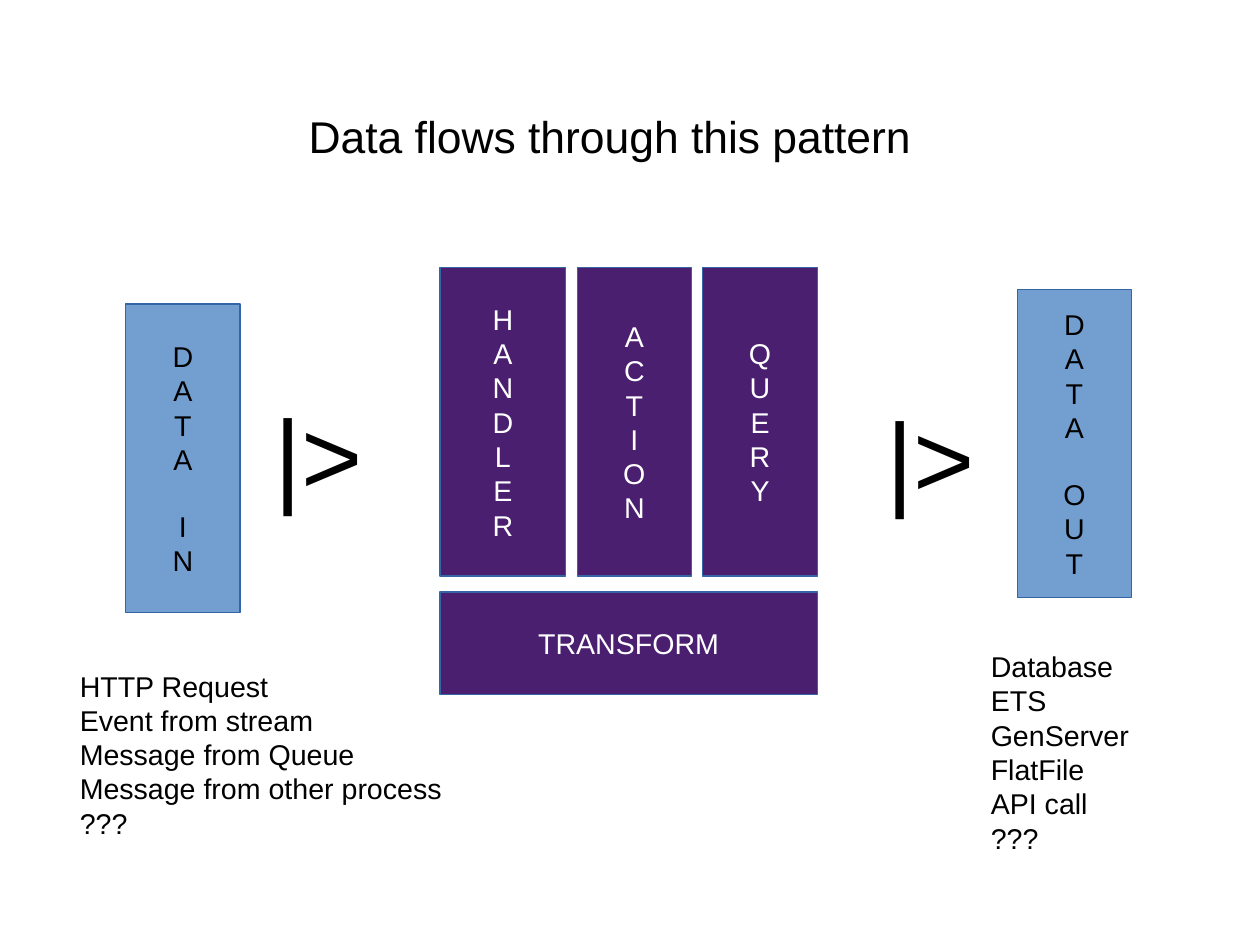
import dataclasses

import pptx
import pptx.dml.color
import pptx.enum.shapes
import pptx.enum.text
import pptx.util

Inches = pptx.util.Inches
Pt = pptx.util.Pt
Align = pptx.enum.text.PP_ALIGN
Anchor = pptx.enum.text.MSO_ANCHOR

FONT = "Arial"
COLORS = {
    "stage": "4B1F6F",
    "data": "729FCF",
    "edge": "3465A4",
    "light": "FFFFFF",
    "dark": "000000",
}


@dataclasses.dataclass
class Block:
    left: float
    top: float
    width: float
    height: float
    paras: list[list[str]]
    fill: str
    ink: str


@dataclasses.dataclass
class Label:
    left: float
    top: float
    width: float
    height: float
    lines: list[str]
    size: int = 18


def color(name: str) -> pptx.dml.color.RGBColor:
    return pptx.dml.color.RGBColor.from_string(COLORS[name])


def stack(words: str) -> list[list[str]]:
    return [list(word) for word in words.split()]


def write(shape, paras: list[list[str]], size: int, ink: str, align, anchor) -> None:
    frame = shape.text_frame
    frame.word_wrap = False
    frame.vertical_anchor = anchor
    for i, lines in enumerate(paras):
        para = frame.add_paragraph() if i else frame.paragraphs[0]
        para.alignment = align
        if i:
            para.space_before = Pt(size * 1.15)
        for j, line in enumerate(lines):
            if j:
                para.add_line_break()
            run = para.add_run()
            run.text = line
            run.font.name = FONT
            run.font.size = Pt(size)
            run.font.color.rgb = color(ink)


def place(shape, item: Label) -> None:
    shape.left, shape.top = Inches(item.left), Inches(item.top)
    shape.width, shape.height = Inches(item.width), Inches(item.height)
    write(shape, [item.lines], item.size, "dark", Align.LEFT, Anchor.TOP)
    shape.text_frame.auto_size = pptx.enum.text.MSO_AUTO_SIZE.SHAPE_TO_FIT_TEXT


def draw_block(slide, block: Block) -> None:
    shape = slide.shapes.add_shape(
        pptx.enum.shapes.MSO_SHAPE.RECTANGLE,
        Inches(block.left), Inches(block.top),
        Inches(block.width), Inches(block.height),
    )
    shape.shadow.inherit = False
    shape.fill.solid()
    shape.fill.fore_color.rgb = color(block.fill)
    shape.line.color.rgb = color("edge")
    shape.line.width = Pt(0)
    write(shape, block.paras, 18, block.ink, Align.CENTER, Anchor.MIDDLE)


def draw_label(slide, label: Label) -> None:
    place(slide.shapes.add_textbox(0, 0, 0, 0), label)


def main() -> None:
    deck = pptx.Presentation()
    deck.slide_width, deck.slide_height = pptx.util.Cm(28), pptx.util.Cm(21)
    slide = deck.slides.add_slide(deck.slide_layouts.get_by_name("Title Only"))
    title = Label(2.6, 0.9, 5.48, 0.53, ["Data flows through this pattern"], 28)
    place(slide.shapes.title, title)

    left, gap = 3.85, 0.1
    for word, width in (("HANDLER", 1.1), ("ACTION", 1), ("QUERY", 1)):
        draw_block(slide, Block(left, 2.34, width, 2.7, stack(word), "stage", "light"))
        left += width + gap
    draw_block(slide, Block(3.85, 5.18, 3.3, 0.9, [["TRANSFORM"]], "stage", "light"))

    for words, left, top in (("DATA OUT", 8.9, 2.53), ("DATA IN", 1.1, 2.66)):
        draw_block(slide, Block(left, top, 1, 2.7, stack(words), "data", "dark"))

    for left, top in ((2.3, 3.36), (7.66, 3.39)):
        draw_label(slide, Label(left, top, 0.97, 1.12, ["|>"], 66))

    inputs = ["HTTP Request", "Event from stream", "Message from Queue",
              "Message from other process", "???"]
    outputs = ["Database", "ETS", "GenServer", "FlatFile", "API call", "???"]
    draw_label(slide, Label(0.6, 5.8, 3.37, 1.5, inputs))
    draw_label(slide, Label(8.57, 5.63, 1.41, 1.78, outputs))
    deck.save("out.pptx")


if __name__ == "__main__":
    main()
